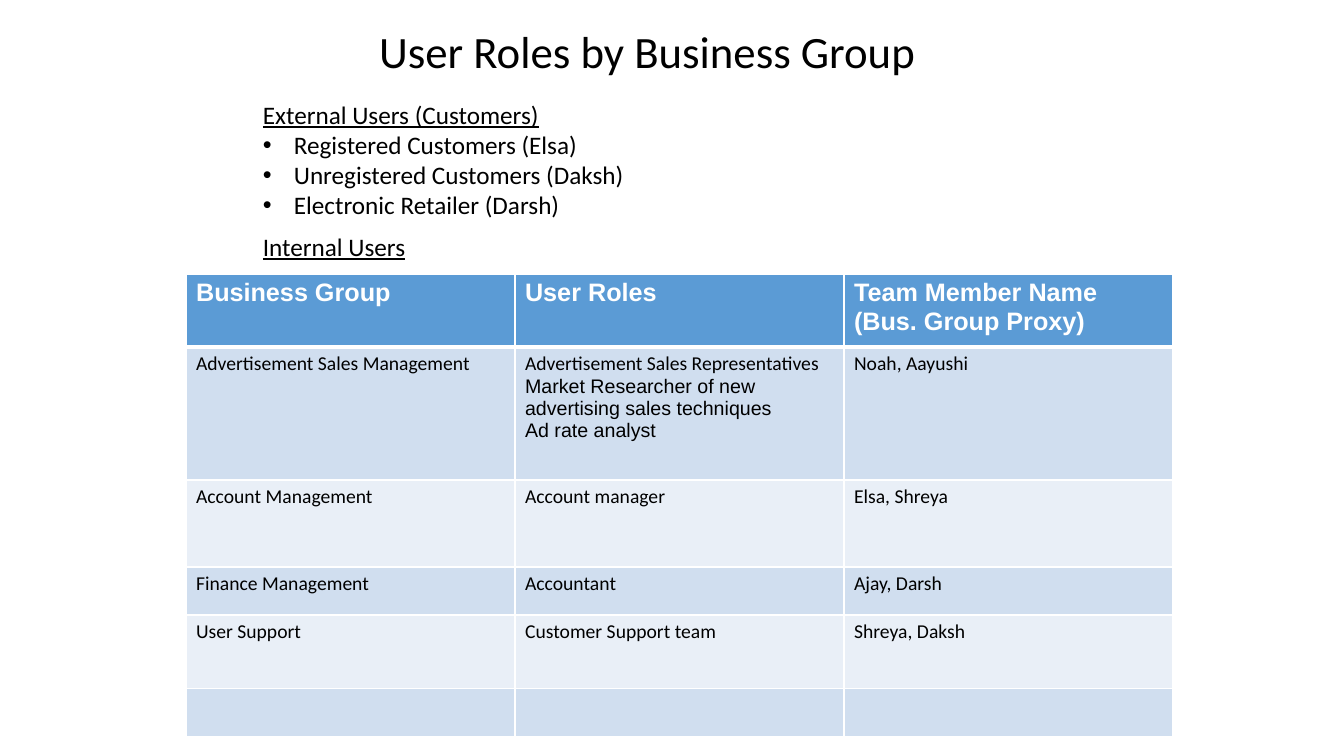
from dataclasses import dataclass

from lxml.etree import SubElement
from pptx import Presentation
from pptx.dml.color import RGBColor
from pptx.enum.text import MSO_ANCHOR, MSO_AUTO_SIZE, PP_ALIGN
from pptx.oxml import parse_xml
from pptx.oxml.ns import nsdecls, qn
from pptx.util import Emu, Pt

EMU_PER_PIXEL = 914400 / 100.8
BLACK = RGBColor(0x00, 0x00, 0x00)
WHITE = RGBColor(0xFF, 0xFF, 0xFF)
HEADER_BLUE = RGBColor(0x5B, 0x9B, 0xD5)
BAND_DARK = RGBColor(0xD0, 0xDE, 0xEF)
BAND_LIGHT = RGBColor(0xE9, 0xEF, 0xF7)
BULLET_INDENT = 31
COLUMN_WIDTH = 329


@dataclass(frozen=True)
class Line:
    text: str
    size: int = 14
    font: str = "Calibri"
    color: RGBColor = BLACK
    bold: bool = False
    underline: bool = False
    bullet: bool = False


@dataclass(frozen=True)
class TextBlock:
    left: int
    top: int
    width: int
    height: int
    lines: tuple[Line, ...]


@dataclass(frozen=True)
class RoleRow:
    height: int
    cells: tuple[tuple[Line, ...], ...]


def heading(text: str) -> Line:
    return Line(text, 18, underline=True)


def bullet(text: str) -> Line:
    return Line(text, 18, bullet=True)


def column_title(text: str) -> Line:
    return Line(text, 18, "Arial", WHITE, bold=True)


def simple_row(height: int, *texts: str) -> RoleRow:
    return RoleRow(height, tuple((Line(text),) for text in texts))


TITLE = TextBlock(369, 19, 561, 65, (Line("User Roles by Business Group", 32),))
USER_BLOCKS = (
    TextBlock(253, 94, 502, 163, (
        heading("External Users (Customers)"),
        bullet("Registered Customers (Elsa)"),
        bullet("Unregistered Customers (Daksh)"),
        bullet("Electronic Retailer (Darsh)"),
    )),
    TextBlock(253, 226, 164, 40, (heading("Internal Users"),)),
)
ROLE_ROWS = (
    RoleRow(73, (
        (column_title("Business Group"),),
        (column_title("User Roles"),),
        (column_title("Team Member Name"), column_title("(Bus. Group Proxy)")),
    )),
    RoleRow(133, (
        (Line("Advertisement Sales Management"),),
        (
            Line("Advertisement Sales Representatives"),
            Line("Market Researcher of new advertising sales techniques", font="Arial"),
            Line("Ad rate analyst", font="Arial"),
        ),
        (Line("Noah, Aayushi"),),
    )),
    simple_row(87, "Account Management", "Account manager", "Elsa, Shreya"),
    simple_row(48, "Finance Management", "Accountant", "Ajay, Darsh"),
    simple_row(74, "User Support", "Customer Support team", "Shreya, Daksh"),
    RoleRow(48, ((), (), ())),
)


def px(pixels: int) -> Emu:
    return Emu(round(pixels * EMU_PER_PIXEL))


def add_bullet(paragraph) -> None:
    properties = paragraph._p.get_or_add_pPr()
    properties.set("marL", str(px(BULLET_INDENT)))
    properties.set("indent", str(-px(BULLET_INDENT)))
    SubElement(properties, qn("a:buFont")).set("typeface", "Arial")
    SubElement(properties, qn("a:buChar")).set("char", "•")


def write_lines(text_frame, lines: tuple[Line, ...]) -> None:
    for index, line in enumerate(lines):
        paragraph = text_frame.add_paragraph() if index else text_frame.paragraphs[0]
        paragraph.text = line.text
        paragraph.alignment = PP_ALIGN.LEFT
        paragraph.line_spacing = 1.0
        font = paragraph.font
        font.size, font.name = Pt(line.size), line.font
        font.bold, font.underline = line.bold, line.underline
        font.color.rgb = line.color
        if line.bullet:
            add_bullet(paragraph)


def fill_block(shape, block: TextBlock) -> None:
    shape.left, shape.top = px(block.left), px(block.top)
    shape.width, shape.height = px(block.width), px(block.height)
    text_frame = shape.text_frame
    text_frame.word_wrap = True
    text_frame.auto_size = MSO_AUTO_SIZE.NONE
    text_frame.vertical_anchor = MSO_ANCHOR.TOP
    write_lines(text_frame, block.lines)


def set_borders(cell, top: int, bottom: int) -> None:
    properties = cell._tc.get_or_add_tcPr()
    widths = {"lnL": 1, "lnR": 1, "lnT": top, "lnB": bottom}
    for position, (side, width) in enumerate(widths.items()):
        properties.insert(position, parse_xml(
            f'<a:{side} {nsdecls("a")} w="{Pt(width)}"><a:solidFill>'
            f'<a:srgbClr val="{WHITE}"/></a:solidFill></a:{side}>'
        ))


def add_role_table(slide, left: int, top: int, rows: tuple[RoleRow, ...]) -> None:
    column_count = len(rows[0].cells)
    table = slide.shapes.add_table(
        len(rows), column_count, px(left), px(top),
        px(COLUMN_WIDTH * column_count), px(sum(row.height for row in rows)),
    ).table
    for column in table.columns:
        column.width = px(COLUMN_WIDTH)
    for row_index, row in enumerate(rows):
        table.rows[row_index].height = px(row.height)
        band = BAND_DARK if row_index % 2 else BAND_LIGHT
        for column_index, lines in enumerate(row.cells):
            cell = table.cell(row_index, column_index)
            cell.fill.solid()
            cell.fill.fore_color.rgb = band if row_index else HEADER_BLUE
            set_borders(cell, 3 if row_index == 1 else 1, 1 if row_index else 3)
            write_lines(cell.text_frame, lines)


presentation = Presentation()
presentation.slide_width, presentation.slide_height = px(1344), px(756)
slide = presentation.slides.add_slide(presentation.slide_layouts.get_by_name("Title Only"))
fill_block(slide.shapes.title, TITLE)
add_role_table(slide, 186, 274, ROLE_ROWS)
for user_block in USER_BLOCKS:
    fill_block(slide.shapes.add_textbox(0, 0, 0, 0), user_block)
presentation.save("out.pptx")
